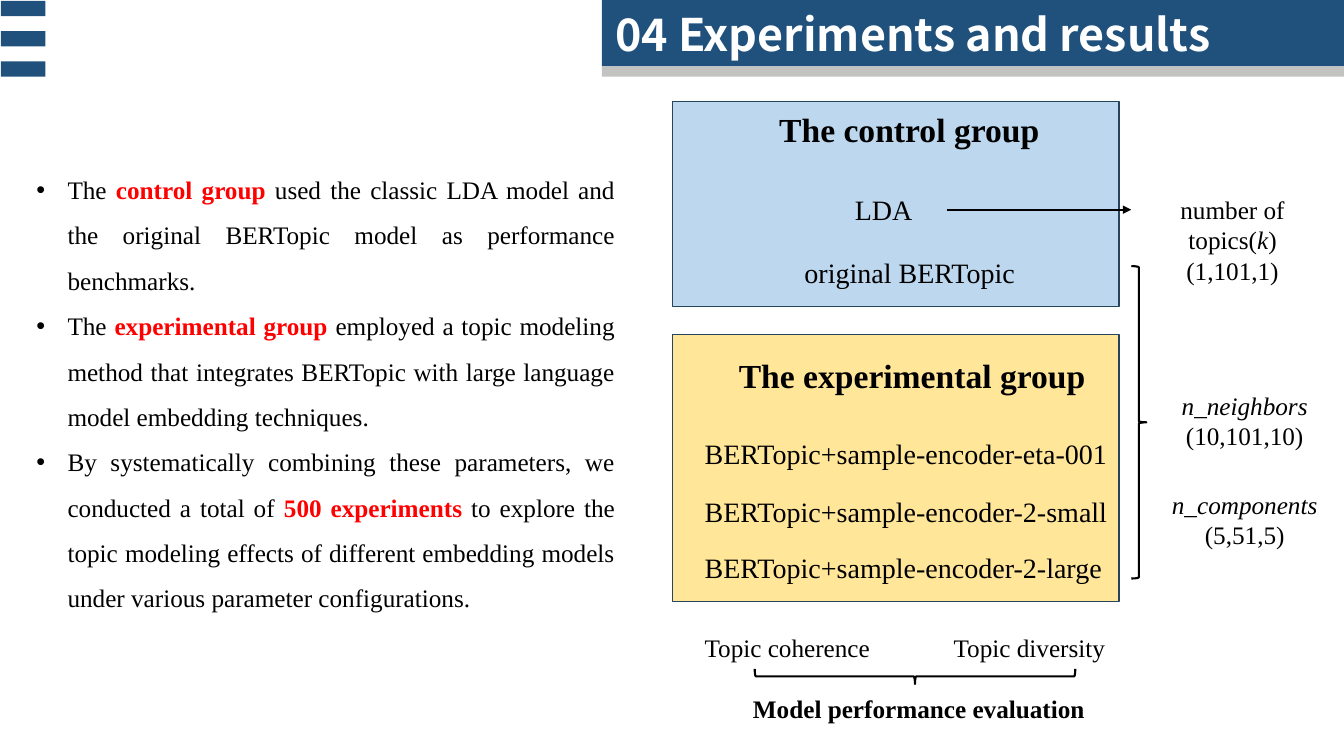
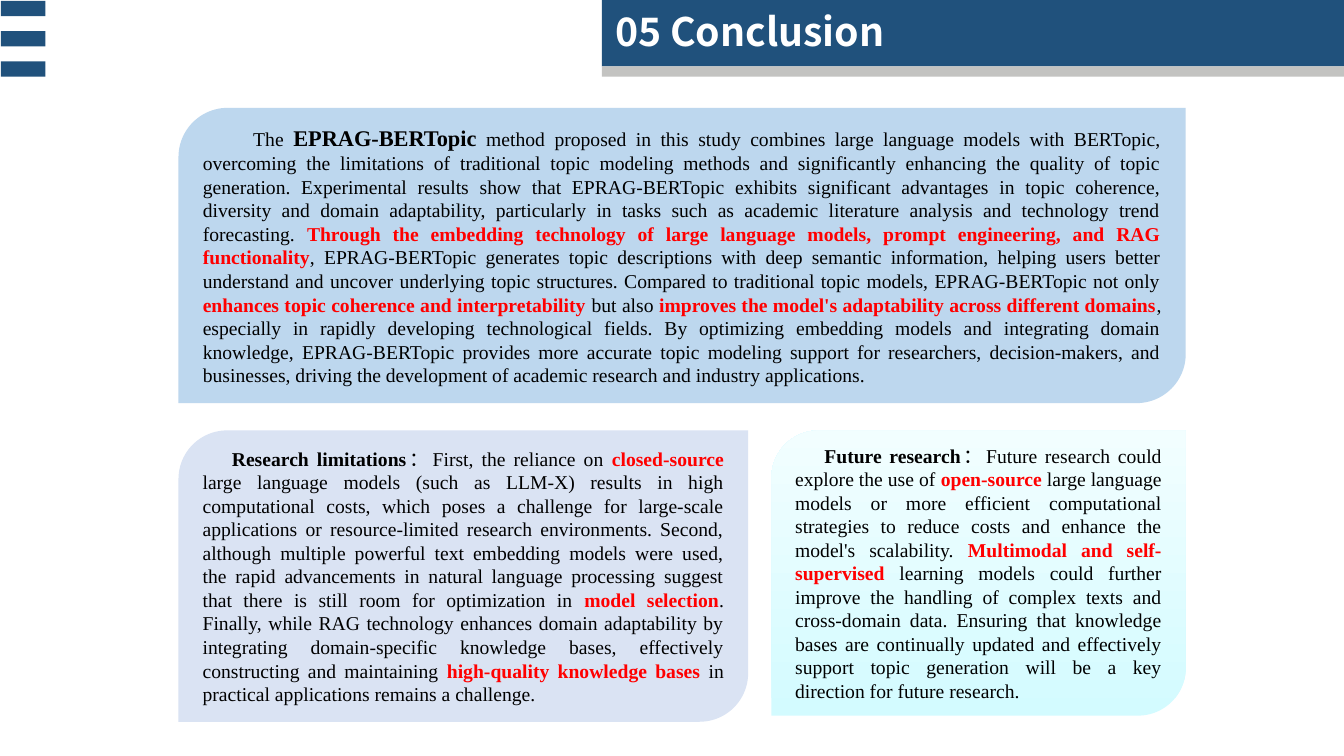
from dataclasses import dataclass
from typing import NamedTuple

from lxml.etree import SubElement as Sub
from pptx import Presentation
from pptx.dml.color import RGBColor as Rgb
from pptx.enum.shapes import MSO_CONNECTOR as Link, MSO_SHAPE as Kind
from pptx.enum.text import MSO_ANCHOR as Anchor, MSO_AUTO_SIZE as Auto, PP_ALIGN as Align
from pptx.oxml.ns import qn
from pptx.util import Inches, Pt

NAVY, GRAY, WHITE, BLACK, RED = "20517C", "C3C3C1", "FFFFFF", "000000", "FF0000"
SKY, SAND, PALE, EDGE = "BDD7EE", "FFE699", "DAE3F3", "28445D"
SERIF, SANS = "Times New Roman", "Noto Sans CJK SC"


class Box(NamedTuple):
    left: float
    top: float
    width: float
    height: float


class Run(NamedTuple):
    text: str
    bold: bool = False
    color: str = BLACK
    slant: bool = False
    size: int = 0


Line = tuple[Run, ...]


@dataclass(frozen=True)
class Label:
    box: Box
    lines: tuple[Line, ...]
    size: int = 18
    align: Align = Align.LEFT


@dataclass(frozen=True)
class Card:
    box: Box
    fill: tuple[str, ...]
    indent: float
    line: Line


def key(text: str) -> Run:
    """A red bold run for a key phrase."""
    return Run(text, True, RED)


def plain(left: float, top: float, width: float, text: str, size: int, bold: bool = False) -> Label:
    """A label of one line and one run."""
    return Label(Box(left, top, width, size / 50 + 0.04), ((Run(text, bold),),), size)


def hue(text: str) -> Rgb:
    return Rgb.from_string(text)


def span(box: Box) -> list[int]:
    return [Inches(n) for n in box]


def place(shape, box: Box) -> None:
    shape.left, shape.top, shape.width, shape.height = span(box)


def write(frame, lines: tuple[Line, ...], size: int, align: Align = Align.LEFT,
          font: str = SERIF, anchor: Anchor = Anchor.TOP) -> None:
    frame.word_wrap = True
    frame.auto_size = Auto.NONE
    frame.vertical_anchor = anchor
    for n, line in enumerate(lines):
        para = frame.paragraphs[0] if n == 0 else frame.add_paragraph()
        para.alignment = align
        para.space_before = Pt(0)
        for item in line:
            run = para.add_run()
            run.text = item.text
            face = run.font
            face.name, face.size = font, Pt(item.size or size)
            face.bold, face.italic = item.bold, item.slant
            face.color.rgb = hue(item.color)


def indent(para, left: float, first: float):
    props = para._p.get_or_add_pPr()
    props.set("marL", str(Inches(left)))
    props.set("indent", str(Inches(first)))
    return props


def draw(slide, kind: Kind, box: Box, fill: tuple[str, ...] = (), edge: str = "", width: float = 1):
    """Add a shape; two fill colours run from bottom to top."""
    shape = slide.shapes.add_shape(kind, *span(box))
    shape.shadow.inherit = False
    if len(fill) > 1:
        shape.fill.gradient()
        shape.fill.gradient_angle = 90
        for stop, color in zip(shape.fill.gradient_stops, fill):
            stop.color.rgb = hue(color)
    elif fill:
        shape.fill.solid()
        shape.fill.fore_color.rgb = hue(fill[0])
    else:
        shape.fill.background()
    if edge:
        shape.line.color.rgb = hue(edge)
        shape.line.width = Pt(width)
    else:
        shape.line.fill.background()
    return shape


def brace(slide, kind: Kind, box: Box, turn: int = 0) -> None:
    shape = draw(slide, kind, box, edge=BLACK, width=1.5)
    shape.adjustments[0], shape.adjustments[1] = 0.08, 0.5
    shape.rotation = turn


def arrow(slide, left: float, right: float, top: float) -> None:
    link = slide.shapes.add_connector(Link.STRAIGHT, *span(Box(left, top, right, top)))
    link.line.color.rgb = hue(BLACK)
    link.line.width = Pt(1.5)
    Sub(link.line._get_or_add_ln(), qn("a:tailEnd"), type="triangle")
    Sub(link._element.spPr, qn("a:effectLst"))


def label(slide, item: Label) -> None:
    text = slide.shapes.add_textbox(*span(item.box))
    write(text.text_frame, item.lines, item.size, item.align)


def card(slide, item: Card) -> None:
    shape = draw(slide, Kind.ROUND_2_DIAG_RECTANGLE, item.box, item.fill)
    write(shape.text_frame, (item.line,), 14, Align.JUSTIFY, anchor=Anchor.MIDDLE)
    indent(shape.text_frame.paragraphs[0], 0, item.indent)


def bullets(holder, box: Box, lines: tuple[Line, ...]) -> None:
    place(holder, box)
    write(holder.text_frame, lines, 18, Align.JUSTIFY)
    for para in holder.text_frame.paragraphs:
        para.line_spacing = 1.5
        props = indent(para, 0.31, -0.31)
        Sub(props, qn("a:buFont"), typeface="Arial")
        Sub(props, qn("a:buChar"), char="•")


def brand(deck, slide) -> None:
    """Draw the stripes and title band, then move them to the master."""
    bands = [(Box(0.01, 0.01 + 0.3 * n, 0.44, 0.15), NAVY) for n in range(3)]
    bands += [(Box(5.97, 0, 7.36, 0.66), NAVY), (Box(5.97, 0.66, 7.36, 0.1), GRAY)]
    tree = deck.slide_master.placeholders[0].element.getparent()
    for n, (box, color) in enumerate(bands):
        shape = draw(slide, Kind.RECTANGLE, box, (color,))
        shape.element.nvSpPr.cNvPr.set("id", str(100 + n))
        tree.insert(2 + n, shape.element)


def start(deck, layout: int, title: str, size: int):
    slide = deck.slides.add_slide(deck.slide_layouts[layout])
    place(slide.shapes.title, Box(6, 0.02, 7.07, 0.64))
    write(slide.shapes.title.text_frame, ((Run(title, True, WHITE),),), size, font=SANS)
    return slide


POINTS = (
    (Run("The "), key("control group "),
     Run("used the classic LDA model and the original BERTopic model as performance benchmarks.")),
    (Run("The "), key("experimental group "),
     Run("employed a topic modeling method that integrates BERTopic with large language model "
         "embedding techniques.")),
    (Run("By systematically combining these parameters, we conducted a total of "),
     key("500 experiments "),
     Run("to explore the topic modeling effects of different embedding models under various "
         "parameter configurations.")),
)

LABELS = (
    plain(7.63, 1.03, 3.41, "The control group", 24, True),
    plain(8.38, 1.86, 1.01, "LDA", 20),
    plain(7.88, 2.49, 3.22, "original BERTopic", 20),
    plain(7.23, 3.47, 3.67, "The experimental group", 24, True),
    *(plain(6.89, top, 4.33, f"BERTopic+sample-encoder-{name}", 20)
      for top, name in ((4.28, "eta-001"), (4.86, "2-small"), (5.41, "2-large"))),
    Label(Box(11.16, 1.88, 2.13, 1),
          ((Run("number of topics("), Run("k", slant=True), Run(")")), (Run("(1,101,1)"),)),
          align=Align.CENTER),
    *(Label(box, ((Run(name, slant=True),), (Run(scope),)), align=Align.CENTER)
      for box, name, scope in (
          (Box(11.62, 3.82, 1.45, 0.71), "n_neighbors", "(10,101,10)"),
          (Box(11.5, 4.8, 1.69, 0.71), "n_components", "(5,51,5)"))),
    plain(6.89, 6.22, 1.9, "Topic coherence", 18),
    plain(9.36, 6.22, 1.9, "Topic diversity", 18),
    plain(7.37, 6.83, 3.67, "Model performance evaluation", 18, True),
)

CARDS = (
    Card(Box(1.77, 1.07, 9.99, 2.93), (SKY,), 0.5, (
        Run("The "), Run("EPRAG-BERTopic", True, size=16),
        Run(" method proposed in this study combines large language models with BERTopic, "
            "overcoming the limitations of traditional topic modeling methods and significantly "
            "enhancing the quality of topic generation. Experimental results show that "
            "EPRAG-BERTopic exhibits significant advantages in topic coherence, diversity and "
            "domain adaptability, particularly in tasks such as academic literature analysis and "
            "technology trend forecasting. "),
        key("Through the embedding technology of large language models, prompt engineering, "
            "and RAG functionality"),
        Run(", EPRAG-BERTopic generates topic descriptions with deep semantic information, "
            "helping users better understand and uncover underlying topic structures. Compared "
            "to traditional topic models, EPRAG-BERTopic not only "),
        key("enhances topic coherence and interpretability "), Run("but also "),
        key("improves the model's adaptability across different domains"),
        Run(", especially in rapidly developing technological fields. By optimizing embedding "
            "models and integrating domain knowledge, EPRAG-BERTopic provides more accurate "
            "topic modeling support for researchers, decision-makers, and businesses, driving "
            "the development of academic research and industry applications."))),
    Card(Box(1.77, 4.27, 5.65, 2.89), (PALE,), 0.29, (
        Run("Research limitations", True), Run("：First, the reliance on "),
        key("closed-source "),
        Run("large language models (such as LLM-X) results in high computational costs, which "
            "poses a challenge for large-scale applications or resource-limited research "
            "environments. Second, although multiple powerful text embedding models were used, "
            "the rapid advancements in natural language processing suggest that there is still "
            "room for optimization in "),
        key("model selection"),
        Run(". Finally, while RAG technology enhances domain adaptability by integrating "
            "domain-specific knowledge bases, effectively constructing and maintaining "),
        key("high-quality knowledge bases "),
        Run("in practical applications remains a challenge. "))),
    Card(Box(7.65, 4.27, 4.11, 2.83), ("D3FBFF", "F2FEFF"), 0.29, (
        Run("Future research", True), Run("：Future research could explore the use of "),
        key("open-source"),
        Run(" large language models or more efficient computational strategies to reduce costs "
            "and enhance the model's scalability. "),
        key("Multimodal and self-supervised"),
        Run(" learning models could further improve the handling of complex texts and "
            "cross-domain data. Ensuring that knowledge bases are continually updated and "
            "effectively support topic generation will be a key direction for future "
            "research. "))),
)


def trials(deck) -> None:
    slide = start(deck, 1, "04 Experiments and results", 32)
    brand(deck, slide)
    bullets(slide.placeholders[1], Box(0.26, 1.53, 5.94, 4.59), POINTS)
    for top, height, fill in ((1.01, 2.03, SKY), (3.32, 2.65, SAND)):
        draw(slide, Kind.RECTANGLE, Box(6.67, top, 4.43, height), (fill,), EDGE)
    for item in LABELS:
        label(slide, item)
    arrow(slide, 9.39, 11.22, 2.08)
    brace(slide, Kind.RIGHT_BRACE, Box(11.22, 2.64, 0.15, 3.1))
    brace(slide, Kind.LEFT_BRACE, Box(9, 5.12, 0.15, 3.18), 270)


def closing(deck) -> None:
    slide = start(deck, 5, "05 Conclusion", 28)
    for item in CARDS:
        card(slide, item)


def main() -> None:
    deck = Presentation()
    deck.slide_width, deck.slide_height = Inches(13.33), Inches(7.5)
    trials(deck)
    closing(deck)
    deck.save("out.pptx")


if __name__ == "__main__":
    main()
